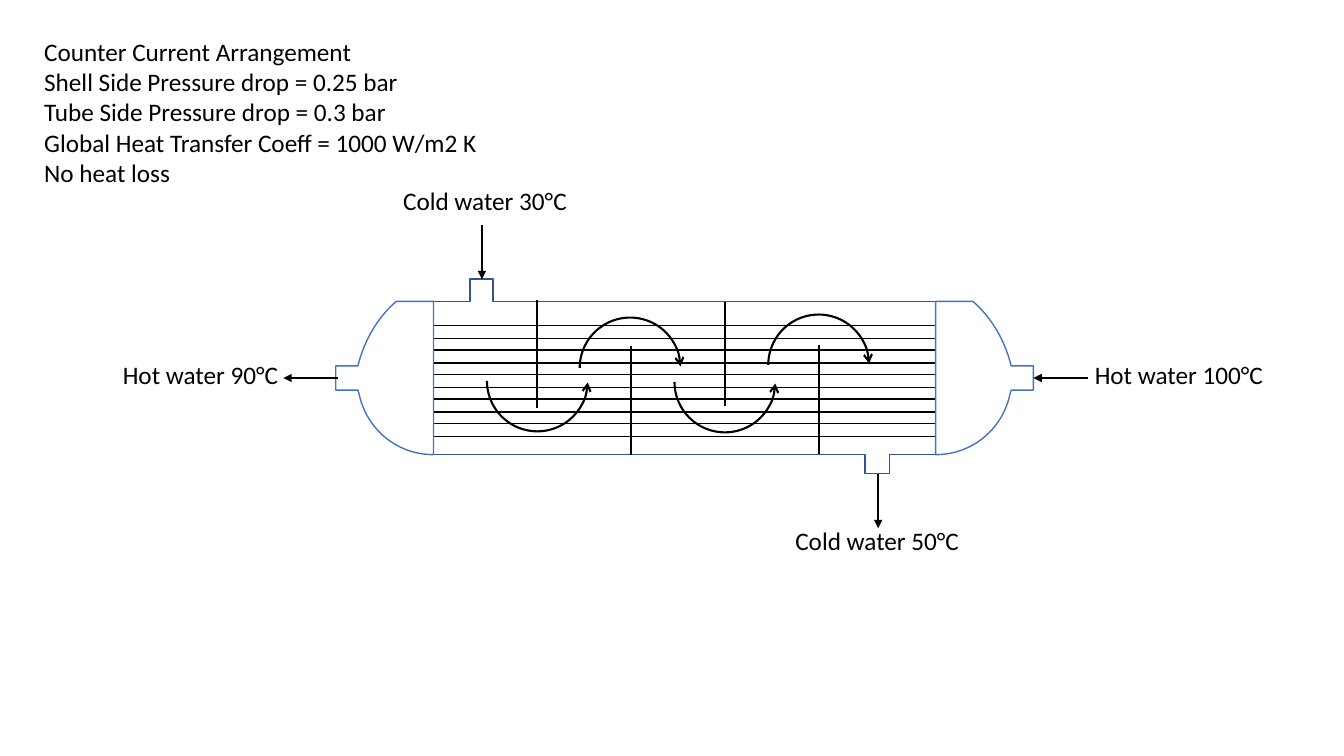
from lxml.etree import SubElement
from pptx import Presentation
from pptx.dml.color import RGBColor
from pptx.enum.shapes import MSO_CONNECTOR, MSO_SHAPE
from pptx.enum.text import MSO_AUTO_SIZE
from pptx.oxml.ns import qn
from pptx.util import Inches, Pt

BLACK, STEEL, BLUE, WHITE = "000000", "325491", "4472C4", "FFFFFF"


def color(hex_value):
    """Turn a hex string into a colour."""
    return RGBColor.from_string(hex_value)


def style_line(part, hex_value, weight, head=None):
    """Set colour and weight of a line, with an optional arrowhead at its end."""
    part.line.color.rgb = color(hex_value)
    part.line.width = Pt(weight)
    if head:
        SubElement(part.line._get_or_add_ln(), qn("a:tailEnd"), type=head)


def add_line(slide, start, end, head=None):
    """Draw a straight black line between two points."""
    line = slide.shapes.add_connector(
        MSO_CONNECTOR.STRAIGHT, *[Inches(v) for v in (*start, *end)])
    style_line(line, BLACK, 1.5, head)
    SubElement(line._element.spPr, qn("a:effectLst"))


def add_preset(slide, kind, left, top, width, height, weight, head=None):
    """Draw an unfilled preset shape with a black outline."""
    part = slide.shapes.add_shape(
        kind, *[Inches(v) for v in (left, top, width, height)])
    part.shadow.inherit = False
    part.fill.background()
    style_line(part, BLACK, weight, head)
    return part


def add_outline(slide, points, line_hex, fill_hex=None, curves=()):
    """Draw a closed outline; each index in curves starts a Bezier triple."""
    start, *rest = [(Inches(x), Inches(y)) for x, y in points]
    builder = slide.shapes.build_freeform(*start)
    builder.add_line_segments(rest, close=True)
    outline = builder.convert_to_shape()
    segments = list(outline._element.iter(qn("a:lnTo")))
    for first in curves:
        curve, *others = segments[first - 1:first + 2]
        curve.tag = qn("a:cubicBezTo")
        for other in others:
            curve.append(other[0])
            other.getparent().remove(other)
    outline.shadow.inherit = False
    if fill_hex:
        outline.fill.solid()
        outline.fill.fore_color.rgb = color(fill_hex)
    else:
        outline.fill.background()
    style_line(outline, line_hex, 1)


def add_text(slide, lines, left, top, width, height):
    """Place lines of 18 pt text, one paragraph each."""
    frame = slide.shapes.add_textbox(
        *[Inches(v) for v in (left, top, width, height)]).text_frame
    frame.word_wrap = True
    frame.auto_size = MSO_AUTO_SIZE.SHAPE_TO_FIT_TEXT
    frame.text = "\n".join(lines)
    for paragraph in frame.paragraphs:
        paragraph.font.name = "Calibri"
        paragraph.font.size = Pt(18)
        paragraph.font.color.rgb = color(BLACK)


def add_shell(slide, left, top, width, height):
    """Draw the shell with its cold inlet on top and cold outlet below."""
    right, bottom = left + width, top + height
    inlet, outlet = left + 0.36, right - 0.7
    add_outline(slide, [
        (inlet, top - 0.22), (inlet + 0.23, top - 0.22), (inlet + 0.23, top),
        (right, top), (right, bottom), (outlet + 0.24, bottom),
        (outlet + 0.24, bottom + 0.19), (outlet, bottom + 0.19),
        (outlet, bottom), (left, bottom), (left, top), (inlet, top)], STEEL)


def add_baffles(slide, left, top):
    """Draw baffles that hang from the top and rise from the bottom in turn."""
    spans = [(-0.01, 1.06), (0.44, 1.52), (0.01, 1.04), (0.43, 1.51)]
    for i, (start, end) in enumerate(spans):
        x = left + 1.03 + 0.93 * i
        add_line(slide, (x, top + start), (x, top + end))


def add_tubes(slide, left, top, width):
    """Draw the bundle of five evenly spaced tubes."""
    for i in range(5):
        add_preset(slide, MSO_SHAPE.RECTANGLE, left - 0.08,
                   top + 0.24 + 0.97 * i / 4, width + 0.16, 0.13, 1)


def add_head(slide, x, top, height, side):
    """Draw a domed head with its nozzle; side is -1 for left, 1 for right."""
    middle = top + height / 2
    half = [(0, 0.76), (0.37, 0.76), (0.67, 0.5), (0.74, 0.15),
            (0.75, 0.12), (0.97, 0.12)]
    lower = [(x + side * dx, middle + dy) for dx, dy in half]
    upper = [(px, 2 * middle - py) for px, py in reversed(lower)]
    add_outline(slide, upper[-1:] + lower + upper[:-1], BLUE, WHITE,
                curves=(2, 9))


def add_shell_flow(slide, left, top):
    """Draw the curved arrows, first below and then above the baffles."""
    bends = [(0.53, 0.29, True), (2.39, 0.3, True),
             (1.45, 0.16, False), (3.32, 0.13, False)]
    for across, down, below in bends:
        flow = add_preset(slide, MSO_SHAPE.ARC, left + across, top + down,
                          1, 1, 1.5, "arrow")
        flow.adjustments[0] = 162
        flow.adjustments[1] = 52.909
        flow.rotation = 270
        if below:
            flow._element.spPr.xfrm.set("flipH", "1")


def add_exchanger(slide, left, top, width, height):
    """Draw the whole heat exchanger around the box of its shell."""
    add_shell(slide, left, top, width, height)
    add_baffles(slide, left, top)
    add_tubes(slide, left, top, width)
    add_head(slide, left, top, height, -1)
    add_head(slide, left + width, top, height, 1)
    add_shell_flow(slide, left, top)


def add_streams(slide, left, top, width, height):
    """Draw the four streams with their labels around the shell."""
    right, bottom, middle = left + width, top + height, top + height / 2
    inlet, outlet, length = left + 0.48, right - 0.57, 0.54
    streams = [
        ("Cold water 30°C", (left - 0.4, top - 1.2), 1.84,
         (inlet, top - 0.22 - length), (inlet, top - 0.22)),
        ("Cold water 50°C", (right - 1.49, bottom + 0.65), 1.84,
         (outlet, bottom + 0.19), (outlet, bottom + 0.19 + length)),
        ("Hot water 100°C", (right + 1.48, middle - 0.23), 1.9,
         (right + 0.97 + length, middle), (right + 0.97, middle)),
        ("Hot water 90°C", (left - 3.18, middle - 0.23), 1.9,
         (left - 0.95, middle), (left - 0.95 - length, middle)),
    ]
    for label, corner, label_width, start, end in streams:
        add_line(slide, start, end, "triangle")
        add_text(slide, [label], *corner, label_width, 0.4)


deck = Presentation()
deck.slide_width, deck.slide_height = Inches(13.33), Inches(7.5)
slide = deck.slides.add_slide(deck.slide_layouts[6])
shell_box = (4.3, 2.99, 4.98, 1.52)
add_exchanger(slide, *shell_box)
add_streams(slide, *shell_box)
add_text(slide, [
    "Counter Current Arrangement",
    "Shell Side Pressure drop = 0.25 bar",
    "Tube Side Pressure drop = 0.3 bar",
    "Global Heat Transfer Coeff = 1000 W/m2 K",
    "No heat loss",
], 0.34, 0.31, 4.93, 1.92)
deck.save("out.pptx")
